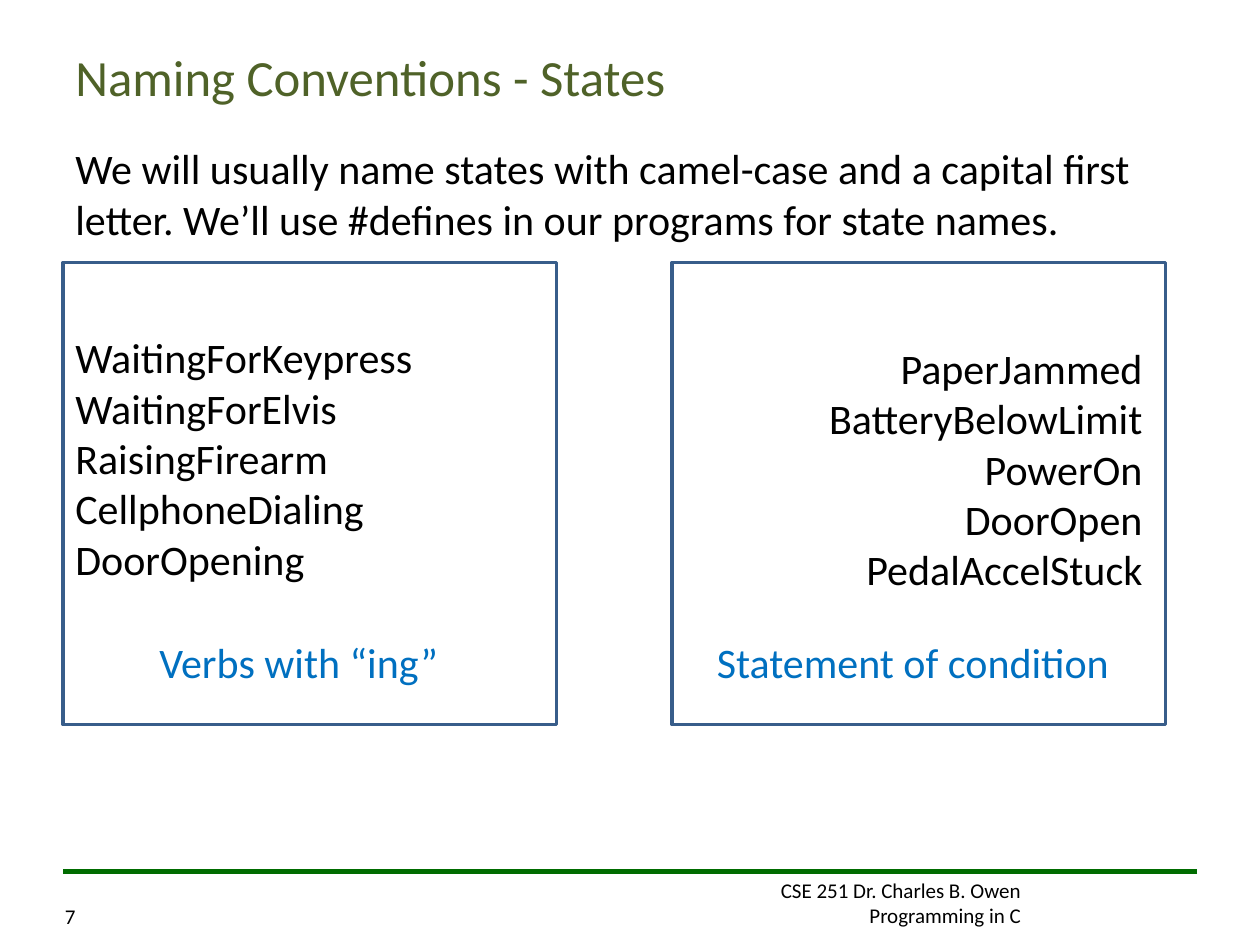
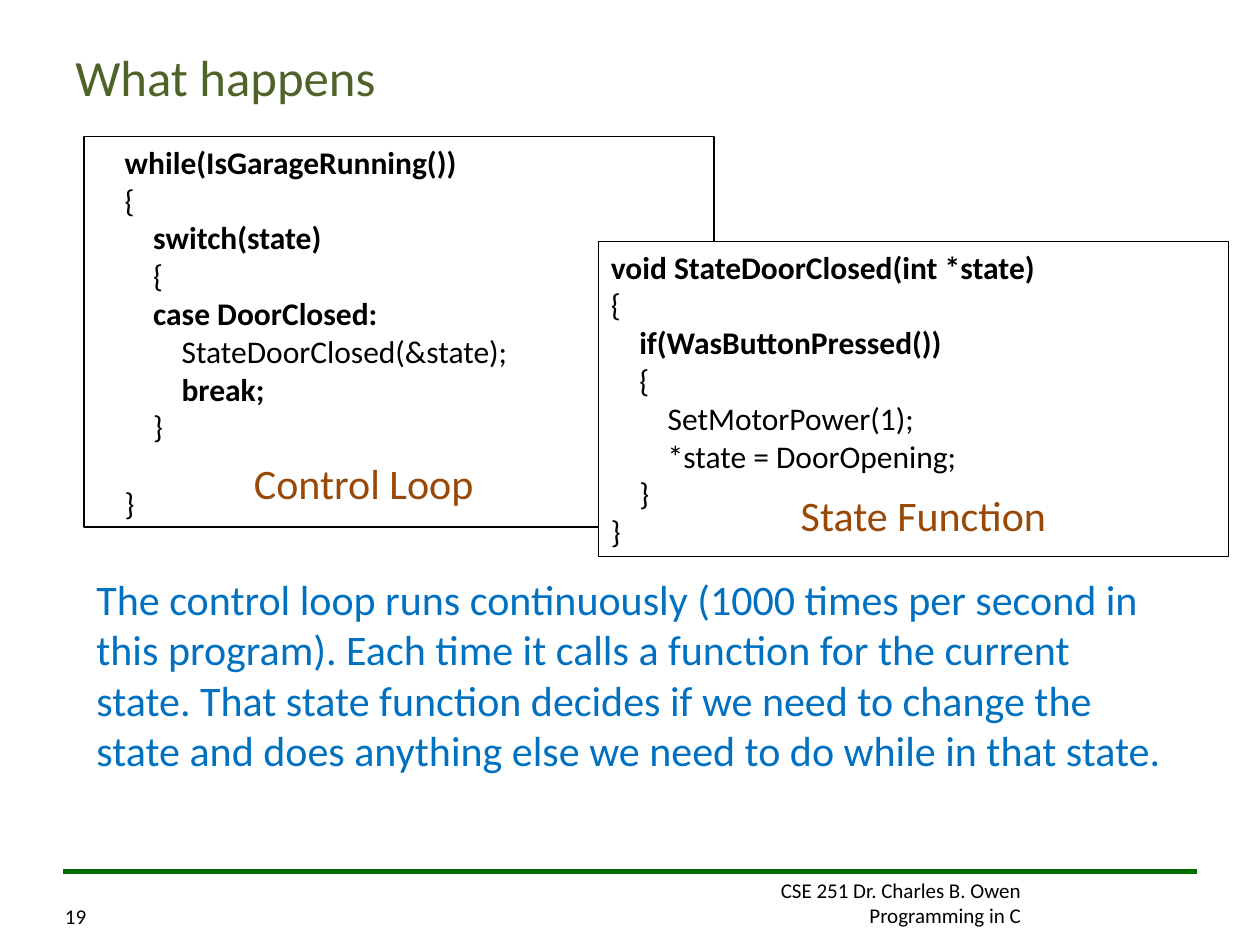
import pptx
import pptx.util
import pptx.dml.color
import pptx.enum.shapes
import pptx.enum.text
import pptx.oxml.ns
import lxml.etree

Pt = pptx.util.Pt
LEFT = pptx.enum.text.PP_ALIGN.LEFT
RIGHT = pptx.enum.text.PP_ALIGN.RIGHT
RECTANGLE = pptx.enum.shapes.MSO_SHAPE.RECTANGLE
BLACK, WHITE, BLUE, BROWN = "000000", "FFFFFF", "0070C0", "984807"
TITLE_GREEN, RULE_GREEN, FRAME_BLUE = "4F6228", "006C00", "385D8A"


def rgb(color):
    return pptx.dml.color.RGBColor.from_string(color)


def write(shape, lines, size=24, color=BLACK, align=LEFT, wrap=True):
    frame = shape.text_frame
    frame.word_wrap = wrap
    frame.vertical_anchor = pptx.enum.text.MSO_ANCHOR.TOP
    frame.text = "\n".join(lines)
    for paragraph in frame.paragraphs:
        paragraph.alignment = align
        paragraph.font.name = "Calibri"
        paragraph.font.size = Pt(size)
        paragraph.font.color.rgb = rgb(color)
    return frame


deck = pptx.Presentation()
deck.slide_width, deck.slide_height = Pt(720), Pt(540)

# Shared title, rule and footer
slides = []
for title, number in [("Naming Conventions - States", "7"), ("What happens", "19")]:
    slide = deck.slides.add_slide(deck.slide_layouts[6])
    slides.append(slide)

    course = slide.shapes.add_textbox(Pt(348), Pt(498), Pt(242.5), Pt(36))
    write(course, ["CSE 251 Dr. Charles B. Owen", "Programming in C"], 12, align=RIGHT)

    rule = slide.shapes.add_connector(
        pptx.enum.shapes.MSO_CONNECTOR.STRAIGHT, Pt(684), Pt(498), Pt(36), Pt(498))
    rule.line.color.rgb = rgb(RULE_GREEN)
    rule.line.width = Pt(3)
    lxml.etree.SubElement(rule._element.spPr, pptx.oxml.ns.qn("a:effectLst"))

    page = slide.shapes.add_textbox(Pt(30), Pt(513), Pt(29), Pt(22))
    write(page, [number], 12)

    heading = slide.shapes.add_textbox(Pt(36), Pt(21), Pt(648), Pt(45))
    heading_frame = write(heading, [title], 29, TITLE_GREEN)
    heading_frame.vertical_anchor = pptx.enum.text.MSO_ANCHOR.MIDDLE

naming, happens = slides

# Naming conventions: introduction
intro = naming.shapes.add_textbox(Pt(36), Pt(78), Pt(642), Pt(65))
write(intro, ["We will usually name states with camel-case and a capital first letter. "
              "We’ll use #defines in our programs for state names."])

# Naming conventions: example names and their kind
verb_states = ["WaitingForKeypress", "WaitingForElvis", "RaisingFirearm",
               "CellphoneDialing", "DoorOpening"]
condition_states = ["PaperJammed", "BatteryBelowLimit", "PowerOn",
                    "DoorOpen", "PedalAccelStuck"]
for left, top, width, states, align in [(36, 186, 282, verb_states, LEFT),
                                        (414, 192, 246, condition_states, RIGHT)]:
    names = naming.shapes.add_textbox(Pt(left), Pt(top), Pt(width), Pt(151))
    write(names, states, align=align)

for left, width, kind in [(84, 173.5, "Verbs with “ing”"),
                          (402.5, 240, "Statement of condition")]:
    caption = naming.shapes.add_textbox(Pt(left), Pt(360), Pt(width), Pt(36))
    write(caption, [kind], color=BLUE, wrap=False)

for left in (36, 384):
    border = naming.shapes.add_shape(RECTANGLE, Pt(left), Pt(150), Pt(282), Pt(264))
    border.shadow.inherit = False
    border.fill.background()
    border.line.color.rgb = rgb(FRAME_BLUE)
    border.line.width = Pt(2)

# What happens: two overlapping code listings
control_loop = [
    "    while(IsGarageRunning())",
    "    {",
    "        switch(state)",
    "        {",
    "        case DoorClosed:",
    "            StateDoorClosed(&state);",
    "            break;",
    "        }",
    "    }",
]
state_function = [
    "void StateDoorClosed(int *state)",
    "{",
    "    if(WasButtonPressed())",
    "    {",
    "        SetMotorPower(1);",
    "        *state = DoorOpening;",
    "    }",
    "}",
]
bold_starts = ("while", "switch", "case", "break", "void", "if")
listings = []
for left, top, height, code in [(48, 78, 223, control_loop),
                                (342, 138, 180, state_function)]:
    listing = happens.shapes.add_shape(RECTANGLE, Pt(left), Pt(top), Pt(360), Pt(height))
    listing.shadow.inherit = False
    listing.fill.solid()
    listing.fill.fore_color.rgb = rgb(WHITE)
    listing.line.color.rgb = rgb(BLACK)
    listing.line.width = Pt(1)
    listings.append(write(listing, code, 18))
    for paragraph in listings[-1].paragraphs:
        paragraph.font.bold = paragraph.text.strip().startswith(bold_starts)

# One line of space before the brace that closes the loop
listings[0].paragraphs[-1].space_before = Pt(22)

# What happens: explanation and listing captions
explanation = happens.shapes.add_textbox(Pt(48), Pt(324), Pt(624), Pt(151))
write(explanation, [
    "The control loop runs continuously (1000 times per second in this program). "
    "Each time it calls a function for the current state. That state function decides "
    "if we need to change the state and does anything else we need to do while in that state."
], color=BLUE)

for left, top, width, name in [(138, 258, 140.5, "Control Loop"),
                               (450.5, 276, 155.5, "State Function")]:
    caption = happens.shapes.add_textbox(Pt(left), Pt(top), Pt(width), Pt(36))
    write(caption, [name], color=BROWN, wrap=False)

deck.save("out.pptx")
